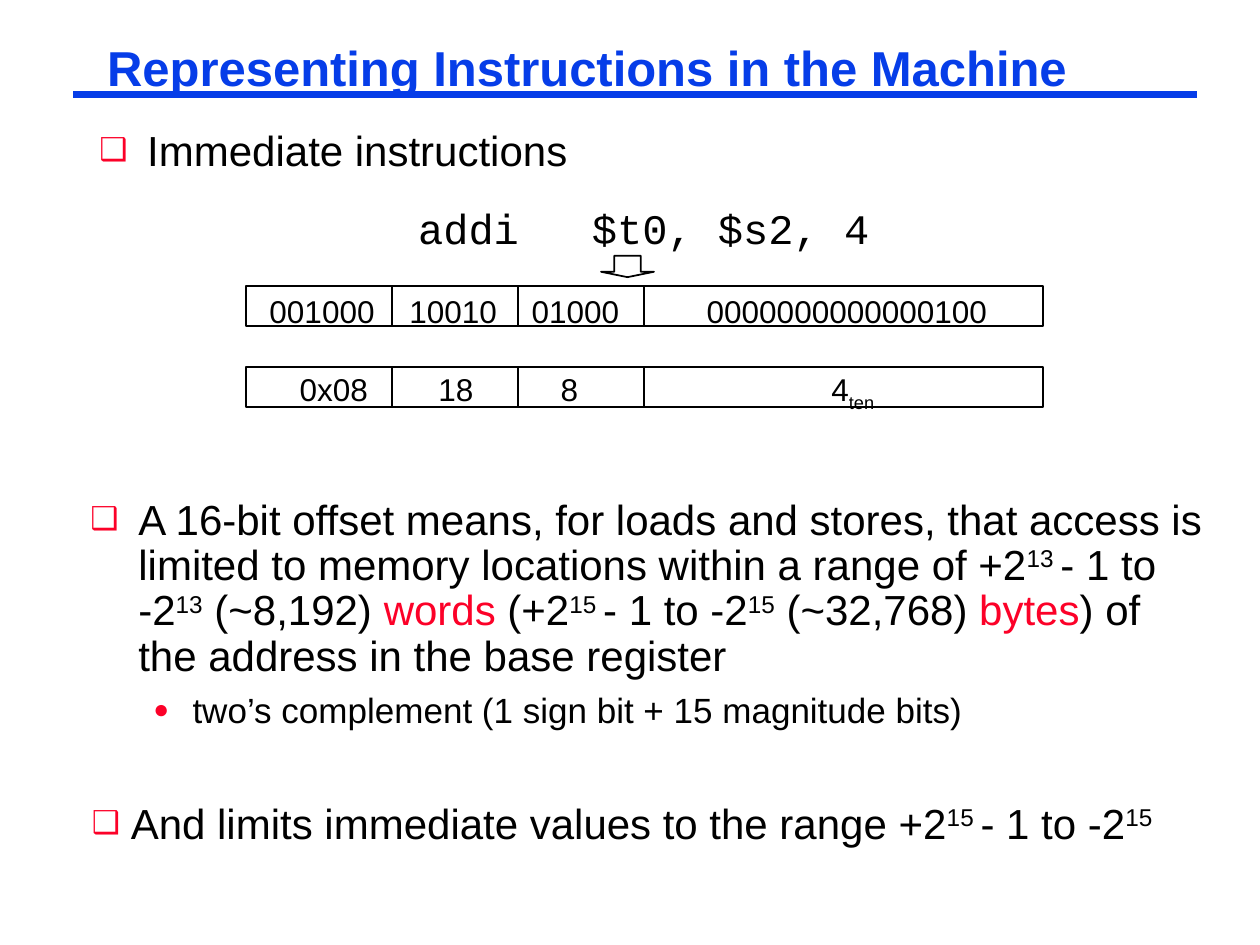
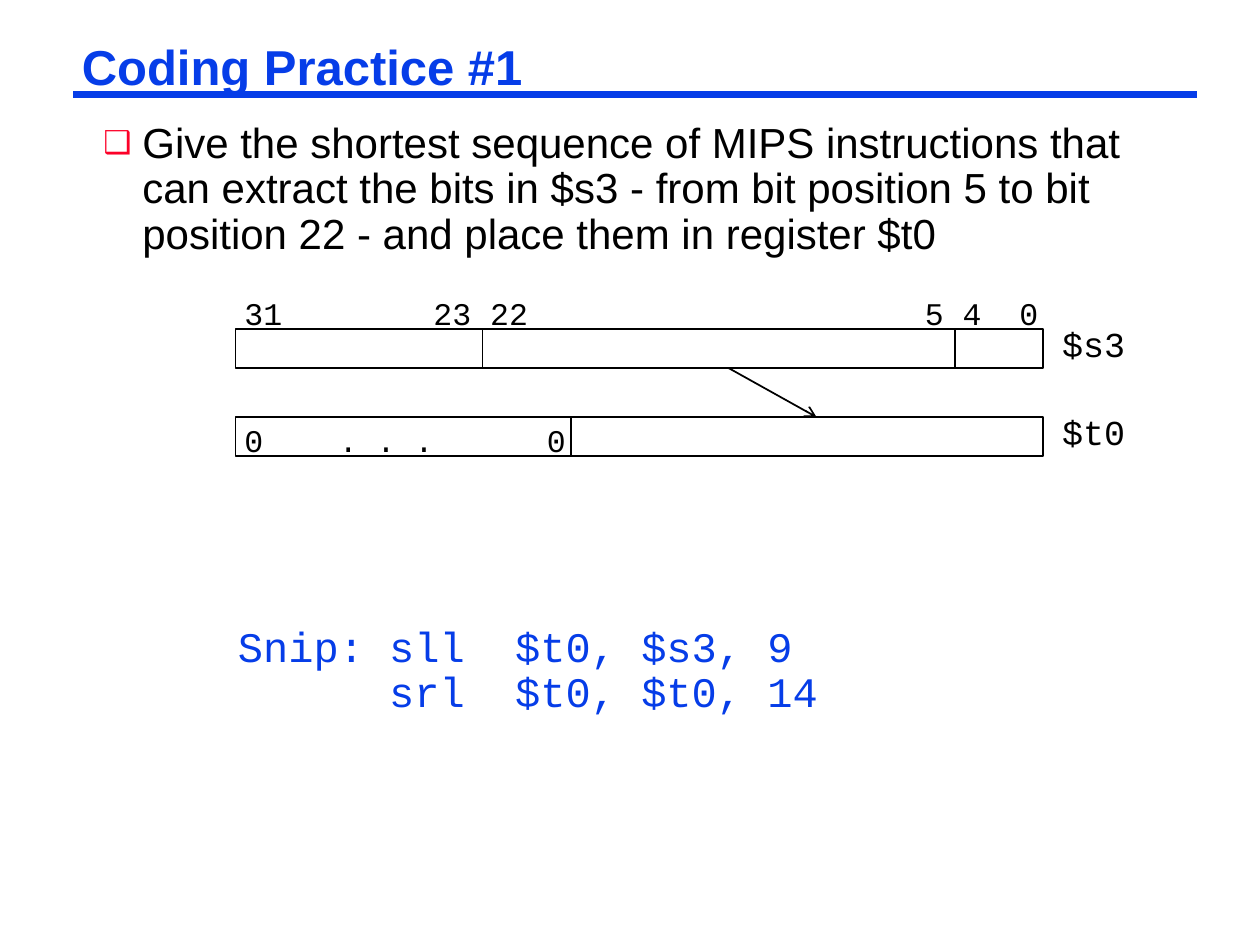
from lxml.etree import SubElement
from pptx import Presentation
from pptx.dml.color import RGBColor
from pptx.enum.shapes import MSO_CONNECTOR, MSO_SHAPE
from pptx.enum.text import MSO_ANCHOR, MSO_AUTO_SIZE, PP_ALIGN
from pptx.oxml.ns import qn
from pptx.util import Inches, Pt

BLUE = RGBColor(0x06, 0x3D, 0xE8)
RED = RGBColor(0xFC, 0x01, 0x28)
BLACK = RGBColor(0, 0, 0)
SANS, MONO = "Arial", "Courier New"
WIDE, TIGHT = (0.1, 0.05), (0.07, 0.03)  # text insets: sides, top and bottom
BASELINES = {"sup": "30000", "sub": "-25000"}

# Content: runs are (text, style)
IMMEDIATE = [("Immediate instructions", "")]
OFFSET_RANGE = [
    ("A 16-bit offset means, for loads and stores, that access is limited to "
     "memory locations within a range of +2", ""), ("13 ", "sup"),
    ("- 1 to -2", ""), ("13", "sup"), (" (~8,192) ", ""), ("words", "red"),
    (" (+2", ""), ("15 ", "sup"), ("- 1 to -2", ""), ("15", "sup"),
    (" (~32,768) ", ""), ("bytes", "red"),
    (") of the address in the base register", "")]
COMPLEMENT = [("two’s complement (1 sign bit + 15 magnitude bits)", "")]
VALUE_RANGE = [("And limits immediate values to the range +2", ""),
               ("15 ", "sup"), ("- 1 to -2", ""), ("15", "sup")]
EXERCISE = [("Give the shortest sequence of MIPS instructions that can extract "
             "the bits in $s3 - from bit position 5 to bit position 22 - and "
             "place them in register $t0", "")]
ANSWER = "Snip: sll  $t0, $s3, 9\v      srl  $t0, $t0, 14"

# Instruction words: top, text left, text top, tab stops, runs
FIELD_EDGES = [3.11, 4.11, 5.11]
WORDS = [
    (2.27, 2.04, 2.27, [1.11, 2.08, 3.47],
     [("001000\t10010\t01000\t0000000000000100", "")]),
    (2.91, 2.28, 2.89, [1.1, 2.07, 4.22],
     [("0x08\t18\t8\t4", ""), ("ten", "sub")])]

# Registers: name, top, dividers, text top, text, character columns of the tabs
CHAR = 0.15
REGISTERS = [
    ("$s3", 2.61, [3.83, 7.58], 2.3, "31\t23\t22\t5\t4\t0", [10, 13, 36, 38, 41]),
    ("$t0", 3.31, [4.53], 3.31, "0\t. . .\t0", [5, 16])]


def add_line(slide, x1, y1, x2, y2, color=BLACK, width=1, arrow=False):
    line = slide.shapes.add_connector(
        MSO_CONNECTOR.STRAIGHT, *map(Inches, (x1, y1, x2, y2)))
    line.line.color.rgb = color
    line.line.width = Pt(width)
    if arrow:
        SubElement(line.line._get_or_add_ln(), qn("a:tailEnd"), type="arrow")
    SubElement(line._element.spPr, qn("a:effectLst"))


def add_outline(slide, kind, x, y, w, h):
    sp = slide.shapes.add_shape(kind, *map(Inches, (x, y, w, h)))
    sp.shadow.inherit = False
    sp.fill.background()
    sp.line.color.rgb = BLACK
    sp.line.width = Pt(1)
    return sp


def add_bit_row(slide, x, y, w, h, dividers):
    add_outline(slide, MSO_SHAPE.RECTANGLE, x, y, w, h)
    for edge in dividers:
        add_line(slide, edge, y, edge, y + h)


def set_frame(tf, insets):
    tf.word_wrap = True
    tf.auto_size = MSO_AUTO_SIZE.NONE
    tf.margin_left = tf.margin_right = Inches(insets[0])
    tf.margin_top = tf.margin_bottom = Inches(insets[1])


def add_box(slide, x, y, w, h, insets=WIDE):
    tf = slide.shapes.add_textbox(*map(Inches, (x, y, w, h))).text_frame
    set_frame(tf, insets)
    return tf


def write(p, runs, size, font=SANS, color=BLACK, spacing=1.0, before=0):
    p.line_spacing = spacing
    if before:
        p.space_before = Pt(before)
    for text, style in runs:
        first = len(p.runs)
        if "\v" in text:
            p.text = text
        else:
            p.add_run().text = text
        for r in p.runs[first:]:
            r.font.name, r.font.size = font, Pt(size)
            r.font.color.rgb = RED if style == "red" else color
            if style in BASELINES:
                r.font._element.set("baseline", BASELINES[style])


def add_bullet(p, char, left, hang):
    pPr = p._p.get_or_add_pPr()
    pPr.set("marL", str(Inches(left)))
    pPr.set("indent", str(-Inches(hang)))
    SubElement(SubElement(pPr, qn("a:buClr")), qn("a:srgbClr"), val=str(RED))
    SubElement(pPr, qn("a:buSzPct"), val="75000")
    SubElement(pPr, qn("a:buFont"), typeface=SANS)
    SubElement(pPr, qn("a:buChar"), char=char)


def add_tabs(p, stops):
    tabs = SubElement(p._p.get_or_add_pPr(), qn("a:tabLst"))
    for stop in stops:
        SubElement(tabs, qn("a:tab"), pos=str(Inches(stop)), algn="l")


def add_titled_slide(prs, text, x, y, w, h, insets):
    slide = prs.slides.add_slide(prs.slide_layouts[5])
    add_line(slide, 0.58, 0.75, 9.5, 0.75, BLUE, 4.5)
    title = slide.shapes.title
    title.left, title.top, title.width, title.height = map(Inches, (x, y, w, h))
    tf = title.text_frame
    set_frame(tf, insets)
    tf.vertical_anchor = MSO_ANCHOR.MIDDLE
    p = tf.paragraphs[0]
    p.alignment = PP_ALIGN.LEFT
    write(p, [(text, "")], 28, color=BLUE, spacing=0.87)
    p.runs[0].font.bold = True
    return slide


def build_representing(prs):
    slide = add_titled_slide(prs, "Representing Instructions in the Machine",
                             0.75, 0.31, 8.03, 0.51, WIDE)
    p = add_box(slide, 0.69, 0.94, 8.92, 0.5).paragraphs[0]
    write(p, IMMEDIATE, 24)
    add_bullet(p, "❑", 0.38, 0.38)

    # Assembly line and its encodings
    p = add_box(slide, 3.22, 1.56, 4.5, 0.5).paragraphs[0]
    write(p, [("addi\t$t0, $s2, 4", "")], 24, MONO)
    add_tabs(p, [1.38])
    arrow = add_outline(slide, MSO_SHAPE.DOWN_ARROW, 4.77, 2.03, 0.42, 0.17)
    arrow.adjustments[0], arrow.adjustments[1] = 0.5, 0.25
    for top, text_left, text_top, stops, runs in WORDS:
        add_bit_row(slide, 1.95, top, 6.33, 0.32, FIELD_EDGES)
        p = add_box(slide, text_left, text_top, 6.25, 0.4).paragraphs[0]
        write(p, runs, 18)
        add_tabs(p, stops)

    # Ranges: runs, size, spacing, space before, bullet, left, hang
    tf = add_box(slide, 0.62, 3.91, 9.06, 2.95)
    points = [(OFFSET_RANGE, 24, 0.9, 0, "❑", 0.38, 0.38),
              (COMPLEMENT, 20, 0.85, 8.5, "●", 0.81, 0.31),
              (VALUE_RANGE, 24, 0.85, 42.5, "❑", 0.32, 0.31)]
    for i, (runs, size, spacing, before, char, left, hang) in enumerate(points):
        p = tf.add_paragraph() if i else tf.paragraphs[0]
        write(p, runs, size, spacing=spacing, before=before)
        add_bullet(p, char, left, hang)


def build_practice(prs):
    slide = add_titled_slide(prs, "Coding Practice #1",
                             0.58, 0.33, 8.92, 0.46, TIGHT)
    p = add_box(slide, 0.75, 0.94, 8.58, 1.27, TIGHT).paragraphs[0]
    write(p, EXERCISE, 24, spacing=0.9)
    add_bullet(p, "❑", 0.31, 0.31)

    # Registers, with the field moving from one to the other
    for name, top, dividers, text_top, text, columns in REGISTERS:
        add_bit_row(slide, 1.87, top, 6.41, 0.31, dividers)
        p = add_box(slide, 1.87, text_top, 6.56, 0.36, TIGHT).paragraphs[0]
        write(p, [(text, "")], 18, MONO)
        add_tabs(p, [column * CHAR for column in columns])
        label = add_box(slide, 8.36, top - 0.08, 0.78, 0.39, TIGHT)
        write(label.paragraphs[0], [(name, "")], 20, MONO)
    add_line(slide, 5.78, 2.92, 6.48, 3.31, arrow=True)

    # Answer
    p = add_box(slide, 1.79, 4.92, 6.7, 1.01).paragraphs[0]
    write(p, [(ANSWER, "")], 24, MONO, BLUE, 0.9)


def main():
    prs = Presentation()
    prs.slide_width, prs.slide_height = Inches(10), Inches(7.5)
    build_representing(prs)
    build_practice(prs)
    prs.save("out.pptx")


if __name__ == "__main__":
    main()
